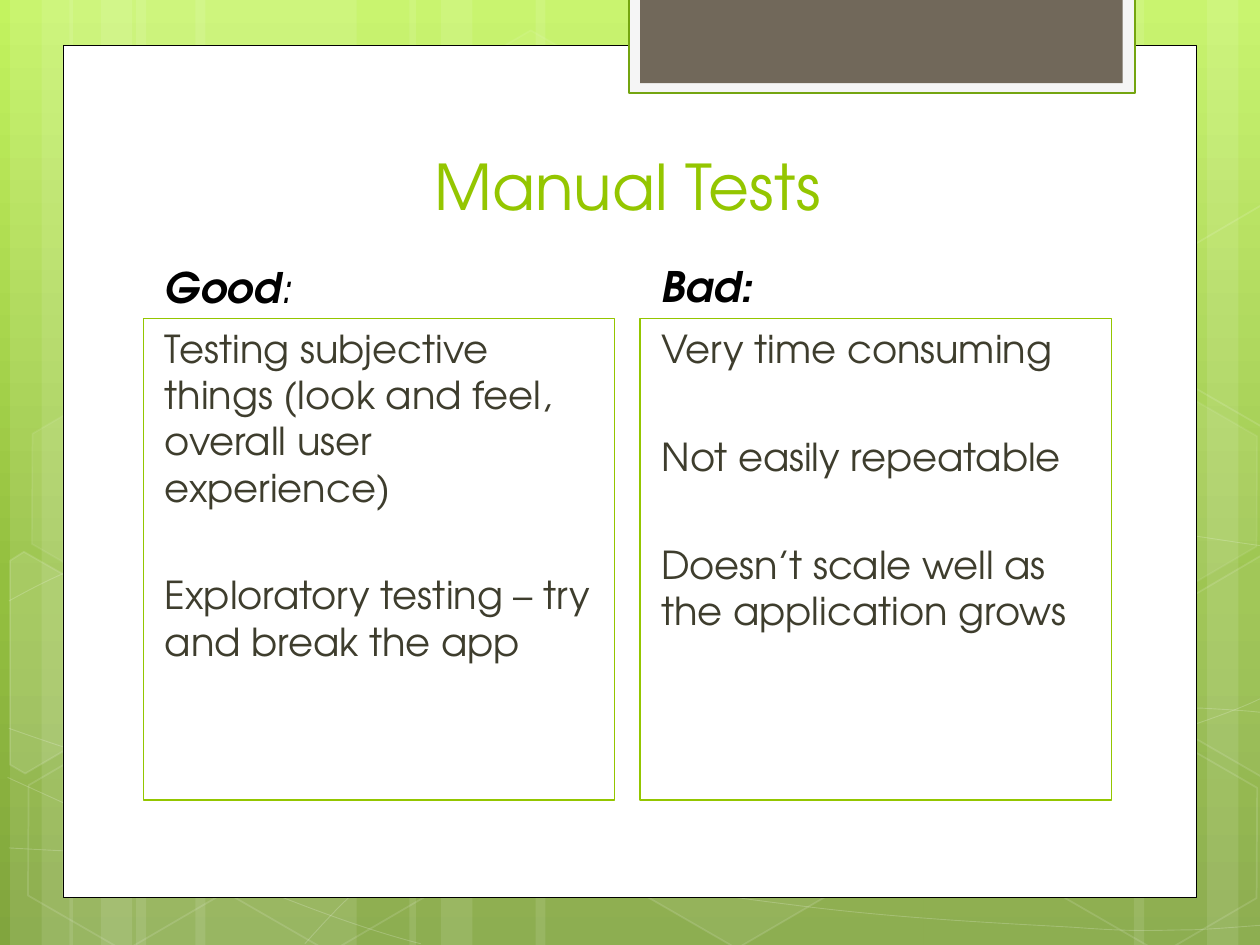
from dataclasses import dataclass
from typing import NamedTuple

from lxml import etree
from pptx import Presentation
from pptx.dml.color import RGBColor
from pptx.enum.shapes import MSO_SHAPE
from pptx.enum.text import MSO_ANCHOR, PP_ALIGN
from pptx.oxml.ns import qn
from pptx.util import Inches, Pt

RECTANGLE = MSO_SHAPE.RECTANGLE
HEXAGON = MSO_SHAPE.HEXAGON
TOP = MSO_ANCHOR.TOP
LEFT, CENTER = PP_ALIGN.LEFT, PP_ALIGN.CENTER


@dataclass(frozen=True)
class Theme:
    font: str = "TeX Gyre Adventor"
    white: str = "FFFFFF"
    black: str = "000000"
    green: str = "94C600"
    tab_edge: str = "74A510"
    tab_mat: str = "F5F5F5"
    tab_fill: str = "71685A"
    body: str = "3E3D2D"
    backdrop: tuple = ((0, "C3F35F"), (62, "93BF3F"), (100, "81A53E"))
    title_size: int = 36
    heading_size: int = 24
    body_size: int = 22


class Box(NamedTuple):
    left: float
    top: float
    width: float
    height: float


class Paint(NamedTuple):
    color: str
    alpha: int = 100
    weight: float = 0


class Run(NamedTuple):
    text: str
    size: int
    color: str
    bold: bool = False
    italic: bool = False


class Hexagon(NamedTuple):
    left: float
    top: float
    fill_alpha: int
    edge_alpha: int


class Column(NamedTuple):
    left: float
    heading_top: float
    heading: list
    points: list


THEME = Theme()
CARD = Box(0.5, 0.36, 9, 6.76)
STRIPE_ALPHA = 10
STRIPE_CLUSTERS = [(0, 1.75, False), (0.47, 1.75, False),
                   (10.16, 1.75, True), (3.17, 3.08, False)]
CURVES = [
    [[(0.07, 6.73)], [(0.61, 6.76), (1.15, 6.79), (1.9, 6.78)],
     [(2.65, 6.77), (3.58, 6.75), (4.58, 6.65)], [(5.58, 6.55), (7, 6.36), (7.92, 6.17)],
     [(8.83, 5.98), (9.77, 5.68), (10.07, 5.51)]],
    [[(0.07, 4.77)], [(0.36, 4.61), (0.65, 4.46), (1.21, 4.31)],
     [(1.78, 4.16), (2.59, 3.94), (3.47, 3.87)], [(4.36, 3.8), (5.44, 3.79), (6.54, 3.87)],
     [(7.64, 3.95), (9.47, 4.26), (10.07, 4.34)]],
    [[(0.06, 6.17)], [(1.27, 6.72), (2.47, 7.27), (3.34, 7.49)]],
    [[(0.07, 5.78)], [(0.38, 5.89), (0.7, 6), (1.28, 6.16)],
     [(1.86, 6.31), (2.73, 6.56), (3.57, 6.73)], [(4.4, 6.9), (5.45, 7.08), (6.28, 7.18)],
     [(7.11, 7.29), (8, 7.33), (8.53, 7.36)], [(9.05, 7.4), (9.19, 7.38), (9.45, 7.38)],
     [(9.71, 7.37), (9.89, 7.35), (10.07, 7.34)]],
    [[(2.42, 7.49)], [(2.6, 7.29), (2.78, 7.09), (3.02, 6.91)],
     [(3.26, 6.73), (3.6, 6.53), (3.88, 6.39)], [(4.16, 6.25), (4.33, 6.19), (4.7, 6.09)],
     [(5.06, 5.99), (5.73, 5.85), (6.08, 5.78)], [(6.44, 5.71), (6.49, 5.71), (6.8, 5.69)],
     [(7.11, 5.66), (7.6, 5.63), (7.94, 5.62)], [(8.29, 5.61), (8.86, 5.62), (8.86, 5.62)],
     [(9.53, 5.62)], [(9.71, 5.63), (9.88, 5.64), (9.97, 5.65)],
     [(10.06, 5.66), (10.03, 5.65), (10.06, 5.66)]],
]
HEXAGONS = [
    Hexagon(3.34, 0.36, 4, 8), Hexagon(4.97, 5.89, 6, 12), Hexagon(0.11, 5.91, 0, 12),
    Hexagon(0.14, 3.12, 7, 8), Hexagon(1.74, 5.92, 0, 12), Hexagon(8.34, 5.93, 0, 12),
    Hexagon(8.34, 3.14, 7, 8),
]
CUT_HEXAGONS = [
    ([(0.08, 4.45), (0.19, 4.38), (0.96, 4.82), (0.95, 5.7), (0.2, 6.14), (0.08, 6.07)], 10),
    ([(9.26, 4.85), (10.01, 4.41), (10.09, 4.46), (10.09, 6.13), (10.02, 6.17),
      (9.26, 5.73)], 4),
    ([(9.26, 2.07), (10.01, 1.63), (10.1, 1.68), (10.09, 3.35), (10.02, 3.39),
      (9.26, 2.95)], 0),
]


def heading_run(text: str, bold: bool = True) -> Run:
    return Run(text, THEME.heading_size, THEME.black, bold, True)


COLUMNS = [
    Column(1.14, 2.03, [heading_run("Good"), heading_run(":", False)],
           ["Testing subjective things (look and feel, overall user experience)",
            "Exploratory testing – try and break the app"]),
    Column(5.08, 2.02, [heading_run("Bad:")],
           ["Very time consuming", "Not easily repeatable",
            "Doesn’t scale well as the application grows"]),
]


def apply_paint(fill, paint: Paint | None) -> None:
    if paint is None or paint.alpha == 0:
        fill.background()
        return
    fill.solid()
    fill.fore_color.rgb = RGBColor.from_string(paint.color)
    if paint.alpha < 100:
        color = fill._xPr.find(qn("a:solidFill"))[0]
        etree.SubElement(color, qn("a:alpha"), val=str(paint.alpha * 1000))


def style(shape, fill: Paint | None = None, edge: Paint | None = None) -> None:
    shape.shadow.inherit = False
    apply_paint(shape.fill, fill)
    apply_paint(shape.line.fill, edge)
    if edge:
        shape.line.width = Pt(edge.weight)


def add_panel(slide, box: Box, fill: Paint | None, edge: Paint | None = None, kind=RECTANGLE):
    panel = slide.shapes.add_shape(kind, *map(Inches, box))
    style(panel, fill, edge)
    return panel


def add_outline(slide, points: list, closed: bool, fill: Paint | None, edge: Paint):
    start, *rest = [(Inches(x), Inches(y)) for x, y in points]
    builder = slide.shapes.build_freeform(*start)
    builder.add_line_segments(rest, close=closed)
    outline = builder.convert_to_shape()
    style(outline, fill, edge)
    return outline


def add_curve(slide, segments: list, edge: Paint) -> None:
    points = [point for segment in segments for point in segment]
    curve = add_outline(slide, points, False, None, edge)
    steps = iter(list(curve._element.iter(qn("a:lnTo"))))
    for segment in segments[1:]:
        first, *others = [next(steps) for _ in segment]
        if others:
            first.tag = qn("a:cubicBezTo")
            for step in others:
                first.append(step[0])
                step.getparent().remove(step)


def add_text(slide, box: Box, paragraphs: list, align=LEFT, indent: float = 0,
             gap: float = 0, edge: Paint | None = None) -> None:
    text_box = slide.shapes.add_textbox(*map(Inches, box))
    if edge:
        style(text_box, None, edge)
    frame = text_box.text_frame
    frame.word_wrap = True
    frame.vertical_anchor = TOP
    for index, runs in enumerate(paragraphs):
        paragraph = frame.add_paragraph() if index else frame.paragraphs[0]
        paragraph.alignment = align
        paragraph.space_before = Pt(gap if index else 0)
        paragraph._p.get_or_add_pPr().set("marL", str(Inches(indent)))
        for part in runs:
            run = paragraph.add_run()
            run.text = part.text
            formats = {"name": THEME.font, "size": Pt(part.size),
                       "bold": part.bold, "italic": part.italic}
            for attribute, value in formats.items():
                setattr(run.font, attribute, value)
            run.font.color.rgb = RGBColor.from_string(part.color)


def paint_backdrop(slide) -> None:
    fill = slide.background.fill
    fill.gradient()
    fill.gradient_angle = 270
    stops = next(slide._element.iter(qn("a:gsLst")))
    for stop in list(stops):
        stops.remove(stop)
    for position, color in THEME.backdrop:
        stop = etree.SubElement(stops, qn("a:gs"), pos=str(position * 1000))
        etree.SubElement(stop, qn("a:srgbClr"), val=color)


def draw_decoration(slide) -> None:
    for origin, wide, mirrored in STRIPE_CLUSTERS:
        for offset, width in ((1.08, wide), (0.08, 0.5), (0.33, 0.83)):
            left = origin - offset - width if mirrored else origin + offset
            add_panel(slide, Box(left, 0, width, 7.5), Paint(THEME.white, STRIPE_ALPHA))
    for segments in CURVES:
        add_curve(slide, segments, Paint(THEME.white, 20, 0.5))
    for cell in HEXAGONS:
        hexagon = add_panel(slide, Box(cell.left, cell.top, 1.75, 1.52),
                            Paint(THEME.white, cell.fill_alpha),
                            Paint(THEME.white, cell.edge_alpha, 1), HEXAGON)
        hexagon.rotation = 30
        hexagon.adjustments[0] = 0.285
    for corners, alpha in CUT_HEXAGONS:
        add_outline(slide, corners, True, Paint(THEME.white, alpha), Paint(THEME.white, 12, 1))


def main() -> None:
    deck = Presentation()
    deck.slide_width, deck.slide_height = Inches(10), Inches(7.5)
    slide = deck.slides.add_slide(deck.slide_layouts[6])
    paint_backdrop(slide)
    draw_decoration(slide)
    add_panel(slide, CARD, Paint(THEME.white), Paint(THEME.black, weight=0.5))
    add_panel(slide, Box(4.99, -0.02, 4.02, 0.76), Paint(THEME.tab_mat),
              Paint(THEME.tab_edge, weight=1.25))
    add_panel(slide, Box(5.08, -0.02, 3.83, 0.68), Paint(THEME.tab_fill))
    add_text(slide, Box(1.14, 1.12, 7.68, 0.74),
             [[Run("Manual Tests", THEME.title_size, THEME.green)]], CENTER)
    for column in COLUMNS:
        add_text(slide, Box(column.left, 2.53, 3.74, 3.82),
                 [[Run(point, THEME.body_size, THEME.body)] for point in column.points],
                 indent=0.07, gap=35.25, edge=Paint(THEME.green, weight=0.75))
        add_text(slide, Box(column.left + 0.07, column.heading_top, 3.26, 0.5),
                 [column.heading])
    deck.save("out.pptx")


if __name__ == "__main__":
    main()
